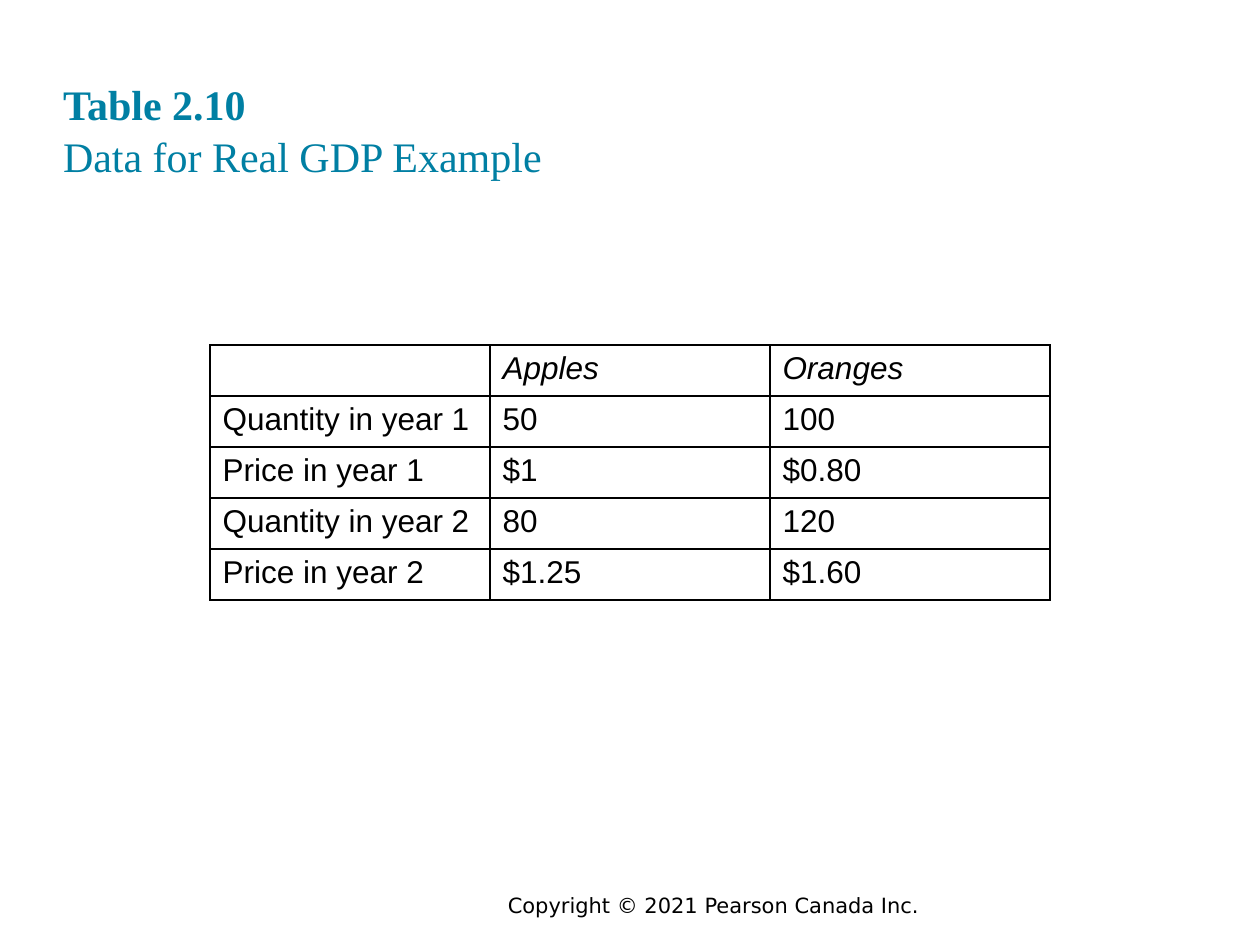
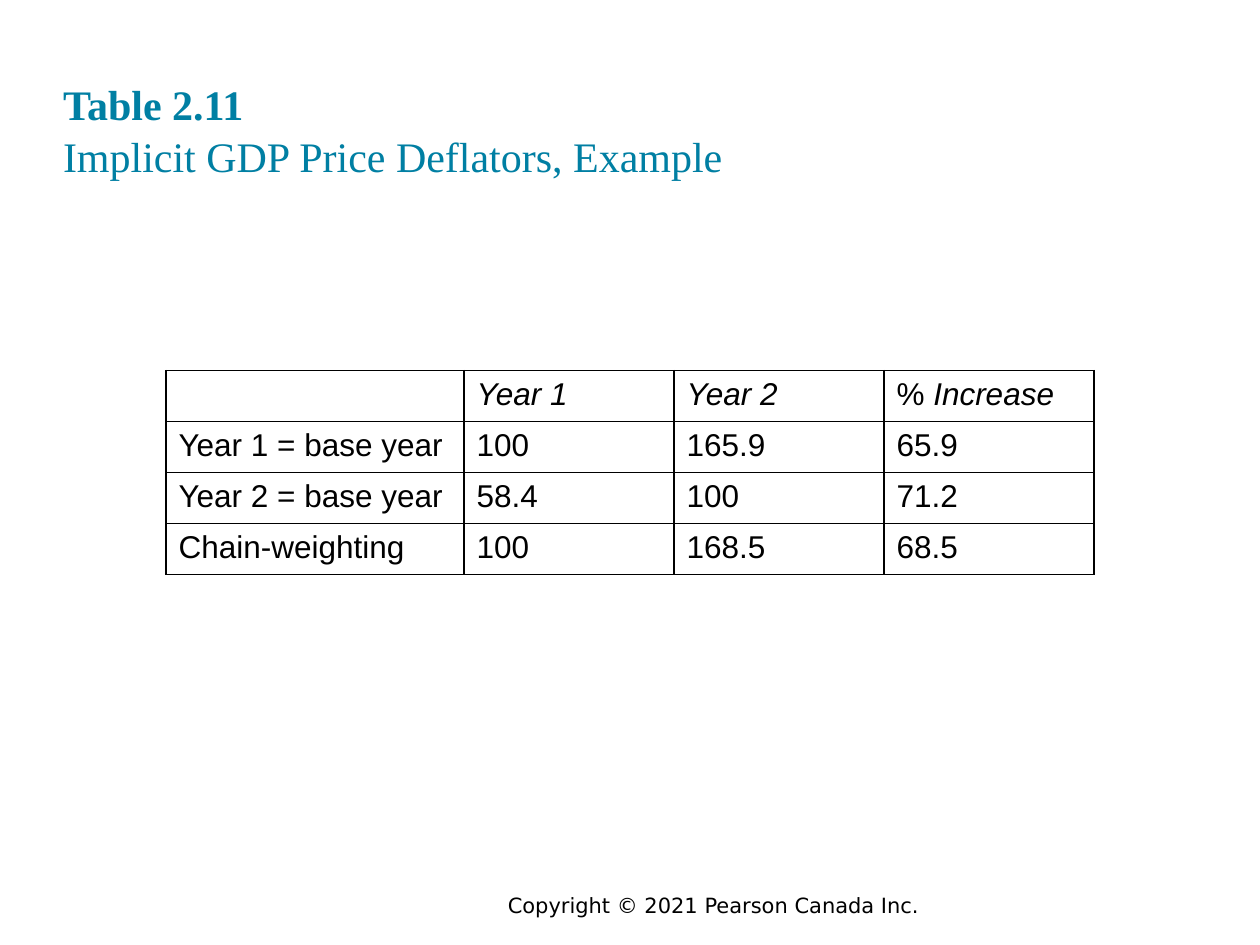
from lxml.etree import SubElement
from pptx import Presentation
from pptx.dml.color import RGBColor as RGB
from pptx.enum.text import MSO_ANCHOR as ANCHOR, MSO_AUTO_SIZE as AUTO, PP_ALIGN as ALIGN
from pptx.oxml.ns import qn
from pptx.util import Emu, Pt

WIDTH, HEIGHT = 1260, 945
COLORS = {"title": "007FA3", "text": "000000", "background": "FFFFFF"}


def px(n):
    return Emu(round(n * 914400 / 126))


def add_text(p, text, size=18, font="Arial", color="text", bold=False, italic=False):
    r = p.add_run()
    r.text = text
    f = r.font
    f.size, f.name, f.bold, f.italic = Pt(size), font, bold, italic
    f.color.rgb = RGB.from_string(COLORS[color])


class Deck:
    title_style = dict(size=24, font="Times New Roman", color="title")
    title_bottom = 181
    row_height = 51

    def __init__(self):
        self.prs = Presentation()
        self.prs.slide_width, self.prs.slide_height = px(WIDTH), px(HEIGHT)

    def new_slide(self):
        self.s = self.prs.slides.add_slide(self.prs.slide_layouts[5])
        fill = self.s.background.fill
        fill.solid()
        fill.fore_color.rgb = RGB.from_string(COLORS["background"])
        self.footer()

    def footer(self):
        tf = self.s.shapes.add_textbox(px(220), px(886), px(987), px(38)).text_frame
        tf.word_wrap = True
        p = tf.paragraphs[0]
        p.alignment = ALIGN.CENTER
        add_text(p, "Copyright © 2021 Pearson Canada Inc.", size=12, font="DejaVu Sans")

    def title(self, number, caption, top):
        sp = self.s.shapes.title
        sp.left, sp.top = px(63), px(top)
        sp.width, sp.height = px(1134), px(self.title_bottom - top)
        tf = sp.text_frame
        tf.auto_size, tf.vertical_anchor = AUTO.NONE, ANCHOR.BOTTOM
        tf.margin_left = tf.margin_top = tf.margin_right = tf.margin_bottom = 0
        p = tf.paragraphs[0]
        p.alignment, p.line_spacing = ALIGN.LEFT, 1.04
        add_text(p, number, bold=True, **self.title_style)
        p.add_line_break()
        rpr = SubElement(p._p.find(qn("a:br")), qn("a:rPr"), sz="2400")
        SubElement(rpr, qn("a:latin"), typeface=self.title_style["font"])
        add_text(p, caption, **self.title_style)

    def borders(self, cell):
        tcpr = cell._tc.get_or_add_tcPr()
        for side in ("lnL", "lnR", "lnT", "lnB"):
            ln = SubElement(tcpr, qn(f"a:{side}"), w=str(Pt(1)))
            SubElement(SubElement(ln, qn("a:solidFill")), qn("a:srgbClr"), val=COLORS["text"])

    def table(self, widths, rows):
        width, height = sum(widths), self.row_height * len(rows)
        table = self.s.shapes.add_table(
            len(rows), len(widths), px((WIDTH - width) / 2), px((HEIGHT - height) / 2),
            px(width), px(height)).table
        table.first_row = table.horz_banding = False
        for column, w in zip(table.columns, widths):
            column.width = px(w)
        for i, row in enumerate(rows):
            table.rows[i].height = px(self.row_height)
            for j, text in enumerate(row):
                cell = table.cell(i, j)
                self.borders(cell)
                cell.fill.background()
                p = cell.text_frame.paragraphs[0]
                if text.startswith("% "):
                    add_text(p, "% ")
                    text = text[2:]
                if text:
                    add_text(p, text, italic=i == 0)


def main():
    deck = Deck()

    deck.new_slide()
    deck.title("Table 2.10", "Data for Real GDP Example", top=21)
    deck.table([280] * 3, [
        ["", "Apples", "Oranges"],
        ["Quantity in year 1", "50", "100"],
        ["Price in year 1", "$1", "$0.80"],
        ["Quantity in year 2", "80", "120"],
        ["Price in year 2", "$1.25", "$1.60"],
    ])

    deck.new_slide()
    deck.title("Table 2.11", "Implicit GDP Price Deflators, Example", top=30)
    deck.table([298] + [210] * 3, [
        ["", "Year 1", "Year 2", "% Increase"],
        ["Year 1 = base year", "100", "165.9", "65.9"],
        ["Year 2 = base year", "58.4", "100", "71.2"],
        ["Chain-weighting", "100", "168.5", "68.5"],
    ])

    deck.prs.save("out.pptx")


if __name__ == "__main__":
    main()
